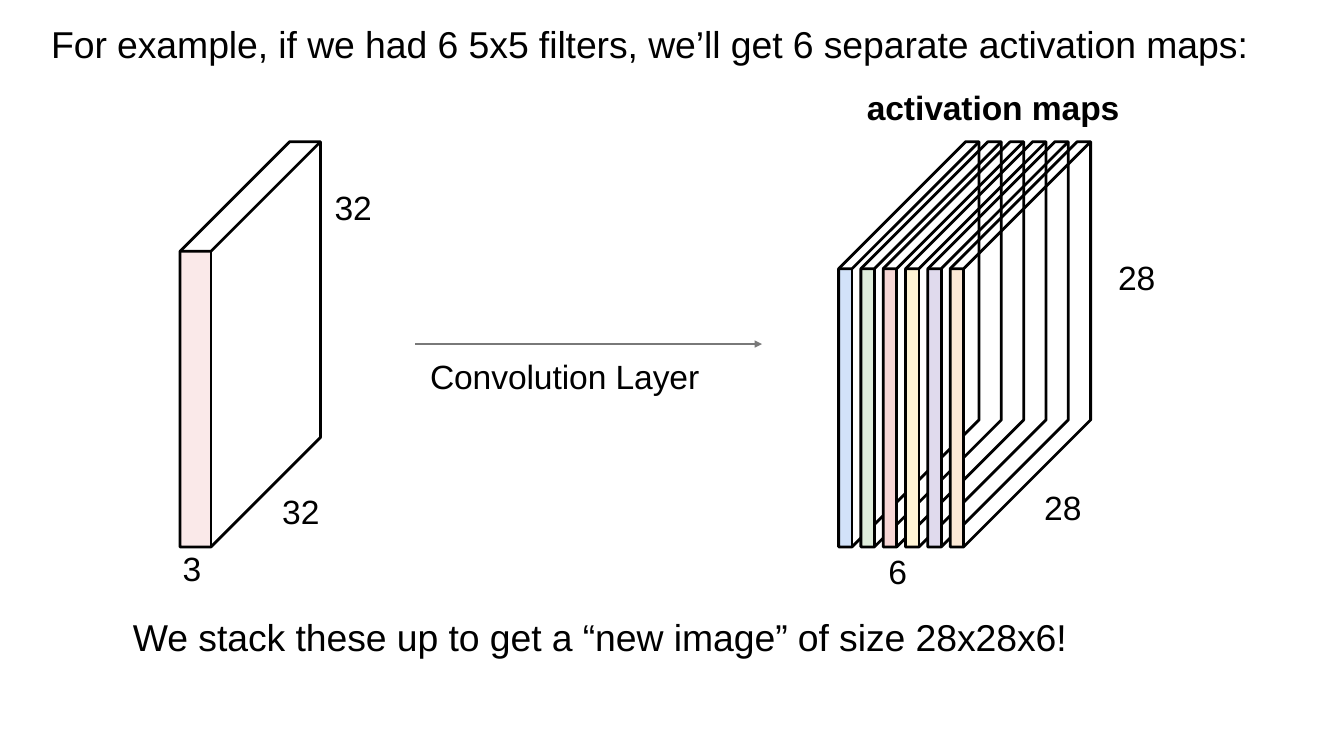
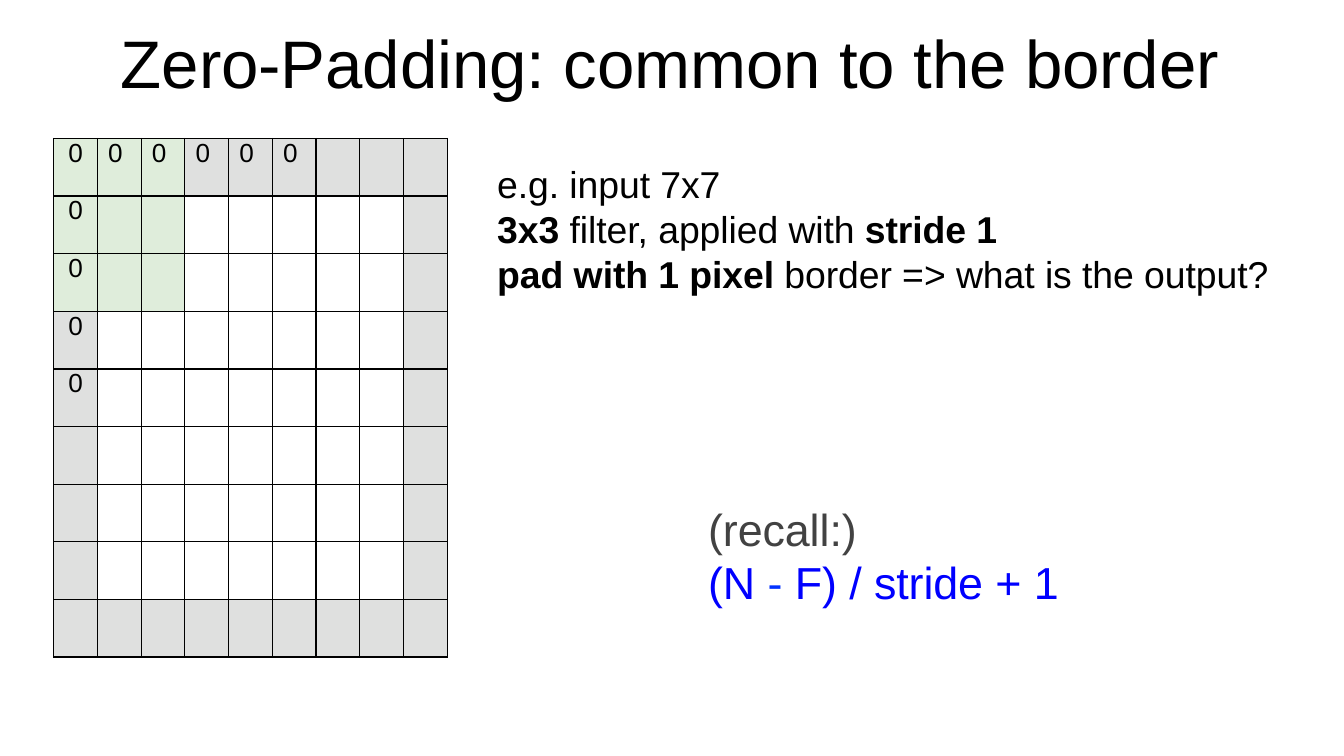
from dataclasses import dataclass

from lxml import etree
from pptx import Presentation
from pptx.dml.color import RGBColor
from pptx.enum.shapes import MSO_CONNECTOR, MSO_SHAPE
from pptx.enum.text import MSO_ANCHOR, MSO_AUTO_SIZE, PP_ALIGN
from pptx.oxml.ns import qn
from pptx.util import Emu, Inches, Pt

LINE = MSO_CONNECTOR.STRAIGHT
RECT = MSO_SHAPE.RECTANGLE
TOP = MSO_ANCHOR.TOP
FIXED = MSO_AUTO_SIZE.NONE
LEFT, CENTER = PP_ALIGN.LEFT, PP_ALIGN.CENTER
TITLE_ONLY = 5

# The slide is a grid of 100 columns; rows are as tall as columns are wide.
WIDE = Inches(10)
HIGH = Emu(WIDE * 9 // 16)
UNIT = WIDE // 100


@dataclass(frozen=True)
class Theme:
    font: str = "Arial"
    ink: str = "000000"
    gray: str = "424242"
    arrow: str = "797979"
    blue: str = "0000FF"
    azure: str = "0433FF"
    pink: str = "F7D6D5"
    green: str = "DFEDDB"
    pad: str = "DFE0DF"
    maps: tuple = ("D2E2F9", "DFEDDB", "F7D6D5", "FFF4D5", "E0DAED", "FCE9D6")
    cell: int = 14
    label: int = 18
    text: int = 20
    recall: int = 24
    head: int = 36
    thin: float = 0.75
    edge: float = 1.5


THEME = Theme()


def grid(*units):
    return [Emu(round(n * UNIT)) for n in units]


def style(run, size, color=THEME.ink, bold=False):
    font = run.font
    font.name, font.size, font.bold = THEME.font, Pt(size), bold
    font.color.rgb = RGBColor.from_string(color)
    run._r.get_or_add_rPr().set("spc", "-5")


def write(frame, lines, size, pitch=None):
    """Fill a frame with lines, each a list of (text, color, bold) parts."""
    frame.word_wrap = True
    frame.auto_size = FIXED
    frame.vertical_anchor = TOP
    frame.margin_right = frame.margin_bottom = 0
    frame.margin_left = frame.margin_top = Inches(0.01)
    for i, parts in enumerate(lines):
        para = frame.paragraphs[0] if i == 0 else frame.add_paragraph()
        para.alignment = LEFT
        para.space_before = Pt(0)
        if pitch:
            para.line_spacing = Pt(pitch)
        for text, color, bold in parts:
            run = para.add_run()
            run.text = text
            style(run, size, color, bold)


def plain(text, bold=False):
    return (text, THEME.ink, bold)


def add_text(slide, box, lines, size, pitch=None):
    shape = slide.shapes.add_textbox(*grid(*box))
    write(shape.text_frame, lines, size, pitch)


def add_title(slide, box, text, size):
    title = slide.shapes.title
    title.left, title.top, title.width, title.height = grid(*box)
    write(title.text_frame, [[plain(text)]], size)


def add_line(slide, start, end, color, width):
    line = slide.shapes.add_connector(LINE, *grid(*start, *end))
    line.line.color.rgb = RGBColor.from_string(color)
    line.line.width = Pt(width)
    etree.SubElement(line._element.spPr, qn("a:effectLst"))
    return line


def add_arrow(slide, start, end):
    line = add_line(slide, start, end, THEME.arrow, THEME.thin)
    etree.SubElement(line.line._get_or_add_ln(), qn("a:tailEnd"),
                     type="triangle", w="sm", len="sm")


def add_path(slide, points, close):
    """Draw an unfilled outline through grid points."""
    first, *rest = [grid(*point) for point in points]
    pen = slide.shapes.build_freeform(*first)
    pen.add_line_segments(rest, close=close)
    shape = pen.convert_to_shape()
    shape.shadow.inherit = False
    shape.fill.background()
    shape.line.color.rgb = RGBColor.from_string(THEME.ink)
    shape.line.width = Pt(THEME.edge)


def add_slab(slide, left, base, size, depth, color, alpha=None):
    """Draw a see-through block whose front face alone is filled."""
    width, height = size
    right, top = left + width, base - height
    face = slide.shapes.add_shape(RECT, *grid(left, top, width, height))
    face.shadow.inherit = False
    face.line.fill.background()
    face.fill.solid()
    face.fill.fore_color.rgb = RGBColor.from_string(color)
    if alpha:
        tint = face._element.spPr.find(qn("a:solidFill"))[0]
        etree.SubElement(tint, qn("a:alpha"), val=str(alpha * 1000))
    back = (right + depth, top - depth)
    add_path(slide, [(left, top), (left + depth, top - depth), back,
                     (right + depth, base - depth), (right, base),
                     (left, base)], True)
    add_path(slide, [(left, top), (right, top), back], False)
    add_line(slide, (right, top), (right, base), THEME.ink, THEME.edge)


def add_edges(cell):
    props = cell._tc.get_or_add_tcPr()
    for side in ("lnL", "lnR", "lnT", "lnB"):
        line = etree.SubElement(props, qn("a:" + side),
                                w=str(Pt(THEME.thin)))
        fill = etree.SubElement(line, qn("a:solidFill"))
        etree.SubElement(fill, qn("a:srgbClr"), val=THEME.ink)


def shade(row, col, count, window):
    """Give the fill of a cell in the padded input, or None."""
    if row < window and col < window:
        return THEME.green
    if {row, col} & {0, count - 1}:
        return THEME.pad
    return None


def add_input(slide, box, count, window):
    frame = slide.shapes.add_table(count, count, *grid(*box))
    table = frame.table
    table.first_row = table.horz_banding = False
    for row in range(count):
        for col in range(count):
            cell = table.cell(row, col)
            cell.margin_left = cell.margin_right = 0
            cell.margin_top = cell.margin_bottom = 0
            add_edges(cell)
            color = shade(row, col, count, window)
            if color:
                cell.fill.solid()
                cell.fill.fore_color.rgb = RGBColor.from_string(color)
            else:
                cell.fill.background()
            if (row == 0 and col < 6) or (col == 0 and row < 5):
                para = cell.text_frame.paragraphs[0]
                para.text = "0"
                style(para.runs[0], THEME.cell)
                if col == 0:
                    para.alignment = CENTER
                else:
                    cell.margin_left = Inches(0.08)


def draw_maps(slide):
    add_title(slide, (3.7, 1.5, 91, 3.6),
              "For example, if we had 6 5x5 filters, "
              "we’ll get 6 separate activation maps:", THEME.text)
    base = 40.7
    add_slab(slide, 13.4, base, (2.3, 22), 8.15, THEME.pink, 52)
    for i, color in enumerate(THEME.maps):
        add_slab(slide, 62.4 + 1.66 * i, base, (1, 20.7), 9.45, color)
    add_arrow(slide, (30.9, 25.6), (56.7, 25.6))
    labels = [
        ("32", 20.9, 36.4, 4, False),
        ("3", 13.5, 40.7, 2, False),
        ("32", 24.8, 13.8, 4, False),
        ("Convolution Layer", 31.9, 26.4, 22, False),
        ("activation maps", 64.4, 6.4, 20, True),
        ("6", 66, 40.9, 2, False),
        ("28", 77.6, 36.1, 4, False),
        ("28", 83.1, 19, 4, False),
    ]
    for text, left, top, width, bold in labels:
        add_text(slide, (left, top, width, 3.3), [[plain(text, bold)]],
                 THEME.label)
    add_text(slide, (9.8, 45.6, 72, 3.6),
             [[plain("We stack these up to get a “new image” "
                     "of size 28x28x6!")]], THEME.text)


def draw_pad(slide):
    add_title(slide, (8.9, 1.5, 84, 6.3),
              "Zero-Padding: common to the border", THEME.head)
    add_input(slide, (4, 10.3, 29.3, 38.6), count=9, window=3)
    add_text(slide, (36.9, 11.9, 60, 10.3), [
        [plain("e.g. input 7x7")],
        [plain("3x3 ", True), plain("filter, applied with "),
         plain("stride 1", True)],
        [plain("pad with 1 pixel ", True),
         plain("border => what is the output?")],
    ], THEME.text)
    add_text(slide, (52.6, 37.3, 28, 8.2), [
        [("(recall:)", THEME.gray, False)],
        [("(N ", THEME.blue, False), ("- ", THEME.azure, False),
         ("F) / stride + 1", THEME.blue, False)],
    ], THEME.recall, pitch=28.4)


def main():
    deck = Presentation()
    deck.slide_width, deck.slide_height = WIDE, HIGH
    for draw in (draw_maps, draw_pad):
        draw(deck.slides.add_slide(deck.slide_layouts[TITLE_ONLY]))
    deck.save("out.pptx")


if __name__ == "__main__":
    main()
